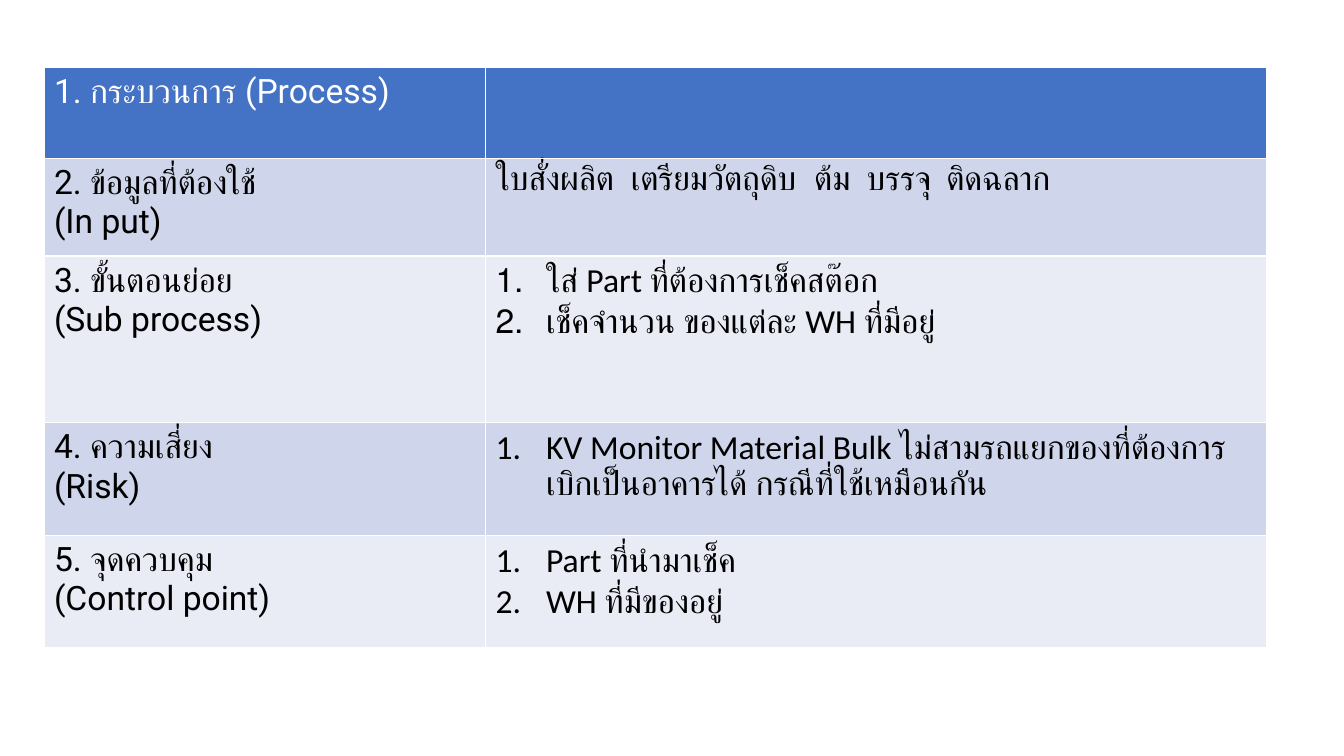
import pptx
import pptx.dml.color
import pptx.oxml.ns
import pptx.util
import lxml.etree

COLORS = {
    "header": "4472C4",
    "band_dark": "CFD5EA",
    "band_light": "E9EBF5",
    "light": "FFFFFF",
    "dark": "000000",
}
COLUMN_PERCENTS = [32.86, 58.14]
ROW_PERCENTS = [12, 12.93, 22, 14.93, 14.93]
STEP_TABS = [1.34, 3.16, 3.68, 4.47]
PROCESS_ROWS = [
    (["1. กระบวนการ (Process)"], [], "plain"),
    (["2. ข้อมูลที่ต้องใช้", "(In put)"],
     ["ใบสั่งผลิต\tเตรียมวัตถุดิบ\tต้ม\tบรรจุ\tติดฉลาก"], "tabbed"),
    (["3. ขั้นตอนย่อย", "(Sub process)"],
     ["ใส่ Part ที่ต้องการเช็คสต๊อก", "เช็คจำนวน ของแต่ละ WH ที่มีอยู่"], "numbered"),
    (["4. ความเสี่ยง", "(Risk)"],
     ["KV Monitor Material Bulk ไม่สามรถแยกของที่ต้องการเบิกเป็นอาคารได้ กรณีที่ใช้เหมือนกัน"],
     "numbered"),
    (["5. จุดควบคุม", "(Control point)"], ["Part ที่นำมาเช็ค", "WH ที่มีของอยู่"], "numbered"),
]


def add_element(parent, tag, **attributes):
    return lxml.etree.SubElement(parent, pptx.oxml.ns.qn(tag), attributes)


class ProcessPage:
    def __init__(self, deck):
        self.width, self.height = deck.slide_width, deck.slide_height
        self.page = deck.slides.add_slide(deck.slide_layouts[6])
        self.format = {"size": pptx.util.Pt(24), "bold": False}

    def color(self, name):
        return pptx.dml.color.RGBColor.from_string(COLORS[name])

    def across(self, percent):
        return round(self.width * percent / 100)

    def down(self, percent):
        return round(self.height * percent / 100)

    def table(self, left, top, columns, rows):
        frame = self.page.shapes.add_table(
            len(rows), len(columns), self.across(left), self.down(top),
            self.across(sum(columns)), self.down(sum(rows)))
        table = frame.table
        table.first_row = table.horz_banding = False
        for column, percent in zip(table.columns, columns):
            column.width = self.across(percent)
        for row, percent in zip(table.rows, rows):
            row.height = self.down(percent)
        return table

    def cell(self, cell, lines, style, font, fill, ink):
        properties = cell._tc.get_or_add_tcPr()
        for side in "LRTB":
            border = add_element(properties, f"a:ln{side}", w=str(pptx.util.Pt(1)))
            add_element(add_element(border, "a:solidFill"), "a:srgbClr", val=COLORS["light"])
        cell.fill.solid()
        cell.fill.fore_color.rgb = self.color(fill)
        for index, line in enumerate(lines):
            frame = cell.text_frame
            para = frame.add_paragraph() if index else frame.paragraphs[0]
            self.paragraph(para, line, style, font, ink)

    def paragraph(self, para, line, style, font, ink):
        properties = para._p.get_or_add_pPr()
        if style == "numbered":
            indent = pptx.util.Inches(0.5)
            properties.set("marL", str(indent))
            properties.set("indent", str(-indent))
            add_element(properties, "a:buFont", typeface="+mj-lt")
            add_element(properties, "a:buAutoNum", type="arabicPeriod")
        elif style == "tabbed":
            stops = add_element(properties, "a:tabLst")
            for position in STEP_TABS:
                add_element(stops, "a:tab", pos=str(pptx.util.Inches(position)), algn="l")
        span = para.add_run()
        span.text = line
        for name, value in {**self.format, "name": font}.items():
            setattr(span.font, name, value)
        span.font.color.rgb = self.color(ink)


def main():
    deck = pptx.Presentation()
    deck.slide_width = pptx.util.Inches(13.33)
    deck.slide_height = pptx.util.Inches(7.5)
    page = ProcessPage(deck)
    table = page.table(3.27, 8.93, COLUMN_PERCENTS, ROW_PERCENTS)
    for index, (heading, details, style) in enumerate(PROCESS_ROWS):
        if index == 0:
            fill, ink = "header", "light"
        else:
            fill, ink = ("band_dark" if index % 2 else "band_light"), "dark"
        detail_font = "Calibri" if style == "numbered" else "Roboto"
        page.cell(table.cell(index, 0), heading, "plain", "Roboto", fill, ink)
        page.cell(table.cell(index, 1), details, style, detail_font, fill, ink)
    deck.save("out.pptx")


if __name__ == "__main__":
    main()
